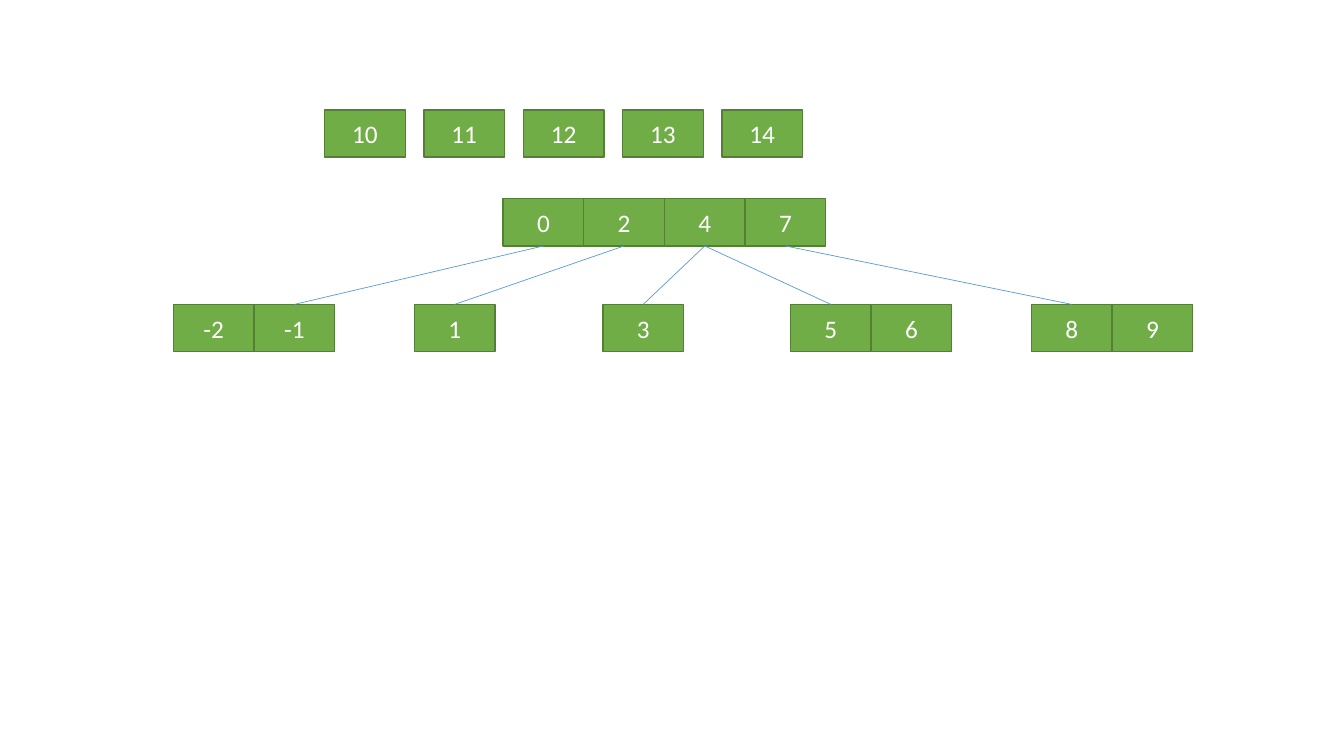
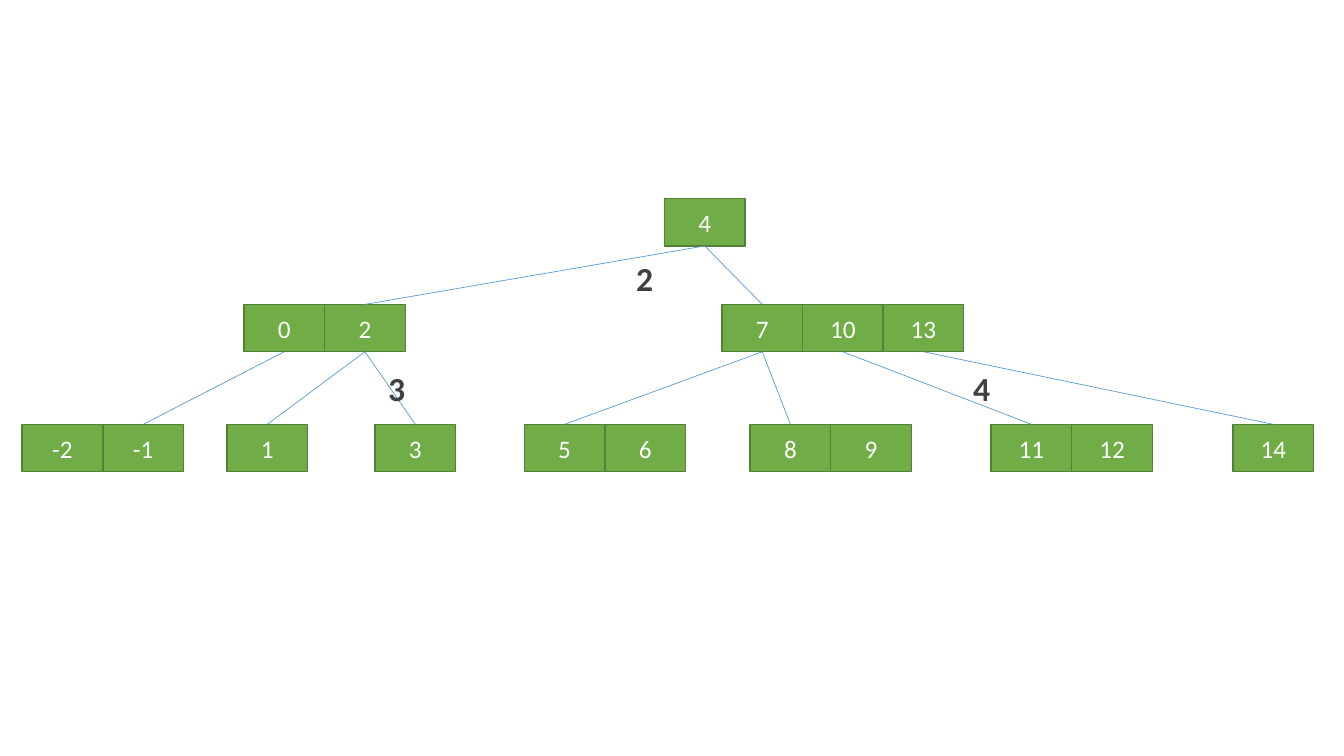
from pptx import Presentation
from pptx.dml.color import RGBColor
from pptx.enum.shapes import MSO_CONNECTOR, MSO_SHAPE
from pptx.enum.text import MSO_ANCHOR, PP_ALIGN
from pptx.oxml.ns import qn
from pptx.util import Inches, Pt
from lxml import etree

KEY_FILL, KEY_BORDER, KEY_TEXT = "70AD47", "538035", "FFFFFF"
LINK_COLOR, LABEL_COLOR = "5B9BD5", "404040"
FONT = "Calibri"
KEY_WIDTH, KEY_HEIGHT = 0.8, 0.47
LABEL_WIDTH, LABEL_HEIGHT = 0.37, 0.5
LOOSE_TOP, ROOT_TOP, MIDDLE_TOP, LEAF_TOP = 1.09, 1.97, 3.02, 4.21
BOTTOM, TOP = 2, 0


def color(value):
    return RGBColor.from_string(value)


def write(shape, text, size, text_color, bold=False):
    paragraph = shape.text_frame.paragraphs[0]
    paragraph.text = str(text)
    paragraph.alignment = PP_ALIGN.CENTER
    font = paragraph.font
    font.name, font.size, font.bold = FONT, Pt(size), bold
    font.color.rgb = color(text_color)


def add_key(slide, left, top, key):
    shape = slide.shapes.add_shape(
        MSO_SHAPE.RECTANGLE, Inches(left), Inches(top), Inches(KEY_WIDTH), Inches(KEY_HEIGHT))
    shape.shadow.inherit = False
    shape.fill.solid()
    shape.fill.fore_color.rgb = color(KEY_FILL)
    shape.line.color.rgb = color(KEY_BORDER)
    shape.line.width = Pt(1)
    shape.text_frame.vertical_anchor = MSO_ANCHOR.MIDDLE
    write(shape, key, 18, KEY_TEXT)
    return shape


def add_node(slide, left, top, keys, pitch=KEY_WIDTH):
    """Place keys side by side and return their shapes by key."""
    return {key: add_key(slide, left + column * pitch, top, key)
            for column, key in enumerate(keys)}


def add_link(slide, parent, child):
    link = slide.shapes.add_connector(MSO_CONNECTOR.STRAIGHT, 0, 0, 0, 0)
    link.begin_connect(parent, BOTTOM)
    link.end_connect(child, TOP)
    link.line.color.rgb = color(LINK_COLOR)
    link.line.width = Pt(0.5)
    etree.SubElement(link._element.spPr, qn("a:effectLst"))


def add_tree(slide, levels, links):
    """Draw levels {top: [(left, keys)]} and links {parent key: child keys}."""
    shapes = {}
    for top, nodes in levels.items():
        for left, keys in nodes:
            shapes.update(add_node(slide, left, top, keys))
    for parent, children in links.items():
        for child in children:
            add_link(slide, shapes[parent], shapes[child])


def add_label(slide, left, top, text):
    label = slide.shapes.add_textbox(
        Inches(left), Inches(top), Inches(LABEL_WIDTH), Inches(LABEL_HEIGHT))
    label.text_frame.word_wrap = False
    write(label, text, 24, LABEL_COLOR, bold=True)


def build_pending_slide(slide):
    first_left, last_left = 3.22, 7.16
    loose_keys = range(10, 15)
    add_node(slide, first_left, LOOSE_TOP, loose_keys,
             pitch=(last_left - first_left) / (len(loose_keys) - 1))
    add_tree(
        slide,
        {ROOT_TOP: [(4.99, (0, 2, 4, 7))],
         MIDDLE_TOP: [(1.72, (-2, -1)), (4.11, (1,)), (5.98, (3,)),
                      (7.84, (5, 6)), (10.23, (8, 9))]},
        {0: (-1,), 2: (1,), 4: (3, 5), 7: (8,)})


def build_split_slide(slide):
    add_tree(
        slide,
        {ROOT_TOP: [(6.59, (4,))],
         MIDDLE_TOP: [(2.42, (0, 2)), (7.16, (7, 10, 13))],
         LEAF_TOP: [(0.22, (-2, -1)), (2.25, (1,)), (3.72, (3,)), (5.2, (5, 6)),
                    (7.44, (8, 9)), (9.83, (11, 12)), (12.23, (14,))]},
        {4: (2, 7), 0: (-1,), 2: (1, 3), 7: (5, 8), 10: (11,), 13: (14,)})
    for left, top, text in ((6.21, 2.51, "2"), (3.75, 3.6, "3"), (9.55, 3.6, "4")):
        add_label(slide, left, top, text)


def main():
    presentation = Presentation()
    presentation.slide_width, presentation.slide_height = Inches(13.33), Inches(7.5)
    blank_layout = presentation.slide_layouts[6]
    for build in (build_pending_slide, build_split_slide):
        build(presentation.slides.add_slide(blank_layout))
    presentation.save("out.pptx")


if __name__ == "__main__":
    main()
